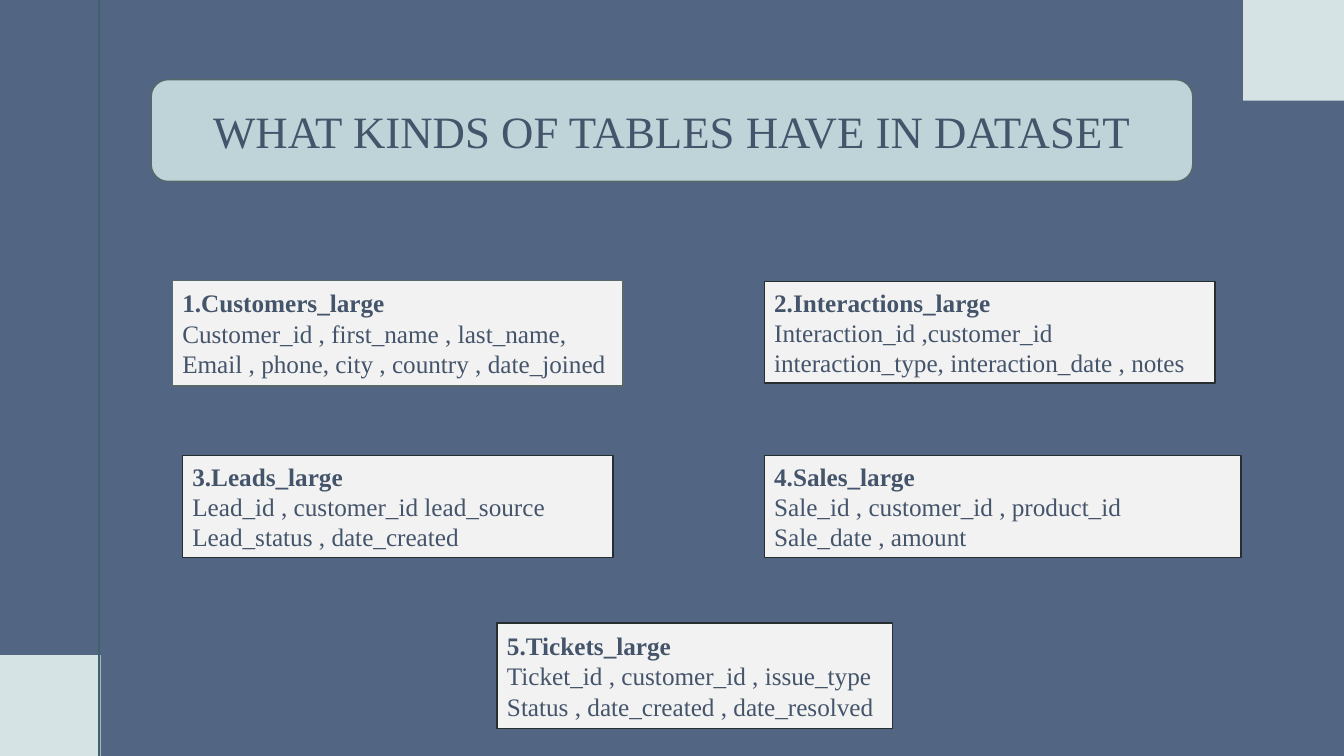
from dataclasses import dataclass

import lxml.etree
import pptx
import pptx.dml.color
import pptx.enum.shapes
import pptx.enum.text
import pptx.oxml.ns
import pptx.util

EMU_PER_PX = 9144
SLIDE_WIDTH = 1333
SLIDE_HEIGHT = 750
CORNER_SIDE = 100
RULE_X = 98

RECTANGLE = pptx.enum.shapes.MSO_SHAPE.RECTANGLE
ROUNDED = pptx.enum.shapes.MSO_SHAPE.ROUNDED_RECTANGLE
LEFT = pptx.enum.text.PP_ALIGN.LEFT
CENTER = pptx.enum.text.PP_ALIGN.CENTER


@dataclass(frozen=True)
class Theme:
    background: str = "526582"
    corner: str = "D5E3E5"
    rule: str = "40636A"
    banner: str = "BFD4D9"
    card: str = "F2F2F2"
    soft_outline: str = "58696B"
    dark_outline: str = "272E2F"
    text: str = "44546A"
    font: str = "Times New Roman"
    title_size: int = 32
    body_size: int = 18
    outline_width: float = 1
    rule_width: float = 1.5


THEME = Theme()


@dataclass(frozen=True)
class Box:
    left: int
    top: int
    width: int
    height: int


@dataclass(frozen=True)
class TableCard:
    box: Box
    heading: str
    columns: tuple[str, ...]
    outline: str = THEME.dark_outline


CORNERS = (
    Box(0, SLIDE_HEIGHT - CORNER_SIDE, CORNER_SIDE, CORNER_SIDE),
    Box(SLIDE_WIDTH - CORNER_SIDE, 0, CORNER_SIDE, CORNER_SIDE),
)
BANNER = Box(150, 79, 1033, 101)
TABLE_CARDS = (
    TableCard(
        Box(171, 278, 447, 105),
        "1.Customers_large",
        (
            "Customer_id , first_name , last_name,",
            "Email , phone, city , country , date_joined",
        ),
        THEME.soft_outline,
    ),
    TableCard(
        Box(758, 279, 447, 101),
        "2.Interactions_large",
        ("Interaction_id ,customer_id interaction_type, interaction_date , notes",),
    ),
    TableCard(
        Box(181, 452, 427, 101),
        "3.Leads_large",
        ("Lead_id , customer_id lead_source", "Lead_status , date_created"),
    ),
    TableCard(
        Box(758, 452, 473, 101),
        "4.Sales_large",
        ("Sale_id , customer_id , product_id", "Sale_date , amount"),
    ),
    TableCard(
        Box(493, 618, 392, 105),
        "5.Tickets_large",
        (
            "Ticket_id , customer_id , issue_type",
            "Status , date_created , date_resolved",
        ),
    ),
)


def px(length: int) -> pptx.util.Emu:
    return pptx.util.Emu(length * EMU_PER_PX)


def rgb(value: str) -> pptx.dml.color.RGBColor:
    return pptx.dml.color.RGBColor.from_string(value)


def add_box(slide, box: Box, fill: str, outline: str | None = None, kind=RECTANGLE):
    shape = slide.shapes.add_shape(
        kind, px(box.left), px(box.top), px(box.width), px(box.height)
    )
    shape.shadow.inherit = False
    shape.fill.solid()
    shape.fill.fore_color.rgb = rgb(fill)
    if outline is None:
        shape.line.fill.background()
    else:
        shape.line.color.rgb = rgb(outline)
        shape.line.width = pptx.util.Pt(THEME.outline_width)
    return shape


def write_line(paragraph, text: str, size: int, alignment, bold: bool = False) -> None:
    paragraph.alignment = alignment
    run = paragraph.add_run()
    run.text = text
    run.font.name = THEME.font
    run.font.size = pptx.util.Pt(size)
    run.font.bold = bold
    run.font.color.rgb = rgb(THEME.text)


def prepare_text(shape):
    frame = shape.text_frame
    frame.word_wrap = True
    frame.vertical_anchor = pptx.enum.text.MSO_ANCHOR.MIDDLE
    return frame


def add_rule(slide) -> None:
    rule = slide.shapes.add_connector(
        pptx.enum.shapes.MSO_CONNECTOR.STRAIGHT,
        px(RULE_X), px(0), px(RULE_X), px(SLIDE_HEIGHT),
    )
    rule.line.color.rgb = rgb(THEME.rule)
    rule.line.width = pptx.util.Pt(THEME.rule_width)
    lxml.etree.SubElement(rule.element.spPr, pptx.oxml.ns.qn("a:effectLst"))


def add_banner(slide) -> None:
    banner = add_box(slide, BANNER, THEME.banner, THEME.soft_outline, ROUNDED)
    frame = prepare_text(banner)
    write_line(
        frame.paragraphs[0],
        "WHAT KINDS OF TABLES HAVE IN DATASET",
        THEME.title_size,
        CENTER,
    )


def add_table_card(slide, card: TableCard) -> None:
    frame = prepare_text(add_box(slide, card.box, THEME.card, card.outline))
    write_line(frame.paragraphs[0], card.heading, THEME.body_size, LEFT, bold=True)
    for line in card.columns:
        write_line(frame.add_paragraph(), line, THEME.body_size, LEFT)


def main() -> None:
    presentation = pptx.Presentation()
    presentation.slide_width = px(SLIDE_WIDTH)
    presentation.slide_height = px(SLIDE_HEIGHT)
    slide = presentation.slides.add_slide(presentation.slide_layouts[6])
    slide.background.fill.solid()
    slide.background.fill.fore_color.rgb = rgb(THEME.background)
    for corner in CORNERS:
        add_box(slide, corner, THEME.corner)
    add_rule(slide)
    add_banner(slide)
    for card in TABLE_CARDS:
        add_table_card(slide, card)
    presentation.save("out.pptx")


if __name__ == "__main__":
    main()
